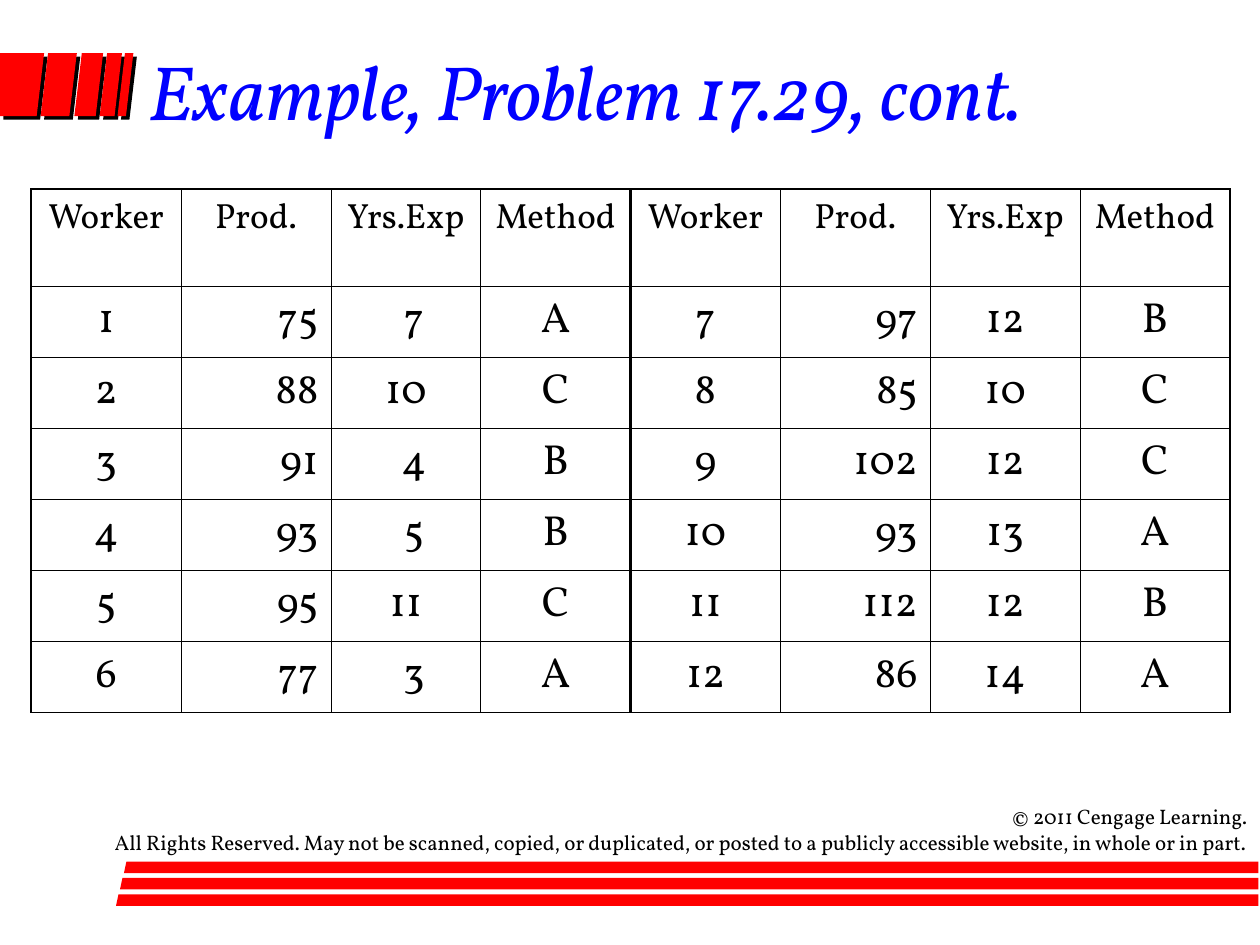
import dataclasses
import pptx
import pptx.dml.color
import pptx.enum.text
import pptx.oxml
import pptx.oxml.ns
import pptx.util

Cm = pptx.util.Cm
Pt = pptx.util.Pt
ALIGN = pptx.enum.text.PP_ALIGN
NS = pptx.oxml.ns.nsdecls("a")


@dataclasses.dataclass(frozen=True)
class Theme:
    font: str = "Vollkorn"
    title: str = "0000FF"
    text: str = "000000"
    accent: str = "FF0000"
    title_size: float = 44
    header_size: float = 20
    cell_size: float = 24
    notice_size: float = 12
    thin: float = 0.45
    outer: float = 1.08
    divider: float = 1.47


class SlideBuilder:
    def __init__(self, prs, theme):
        self.theme = theme
        self.s = prs.slides.add_slide(prs.slide_layouts[5])

    def run(self, p, text, size, color, italic=False):
        r = p.add_run()
        r.text = text
        r.font.name = self.theme.font
        r.font.size = Pt(size)
        r.font.italic = italic
        r.font.color.rgb = pptx.dml.color.RGBColor.from_string(color)

    def polygon(self, points, shadow=False):
        pts = [(Cm(x), Cm(y)) for x, y in points]
        builder = self.s.shapes.build_freeform(*pts[0])
        builder.add_line_segments(pts[1:], close=True)
        sp = builder.convert_to_shape()
        sp.shadow.inherit = False
        sp.fill.solid()
        sp.fill.fore_color.rgb = pptx.dml.color.RGBColor.from_string(self.theme.accent)
        sp.line.fill.background()
        if shadow:
            effects = sp._element.spPr.find(pptx.oxml.ns.qn("a:effectLst"))
            effects.append(pptx.oxml.parse_xml(
                f'<a:outerShdw {NS} blurRad="0" dist="{Pt(2.8)}" dir="2700000" '
                f'algn="ctr" rotWithShape="0"><a:srgbClr val="{self.theme.text}"/>'
                "</a:outerShdw>"))

    def title(self, text, left, top, width, height):
        sp = self.s.shapes.title
        sp.left, sp.top, sp.width, sp.height = map(Cm, (left, top, width, height))
        tf = sp.text_frame
        tf.auto_size = pptx.enum.text.MSO_AUTO_SIZE.NONE
        tf.vertical_anchor = pptx.enum.text.MSO_ANCHOR.TOP
        p = tf.paragraphs[0]
        p.alignment = ALIGN.LEFT
        self.run(p, text, self.theme.title_size, self.theme.title, italic=True)

    def borders(self, cell, widths):
        tc_pr = cell._tc.get_or_add_tcPr()
        for i, (side, width) in enumerate(zip("LRTB", widths)):
            tc_pr.insert(i, pptx.oxml.parse_xml(
                f'<a:ln{side} {NS} w="{Pt(width)}"><a:solidFill>'
                f'<a:srgbClr val="{self.theme.text}"/></a:solidFill></a:ln{side}>'))

    def table(self, rows, left, top, col_width, header_height, row_height):
        t = self.theme
        n_rows, n_cols = len(rows), len(rows[0])
        half = n_cols // 2
        table = self.s.shapes.add_table(
            n_rows, n_cols, Cm(left), Cm(top), Cm(col_width * n_cols),
            Cm(header_height + row_height * (n_rows - 1))).table
        table.first_row = table.horz_banding = False
        for col in table.columns:
            col.width = Cm(col_width)
        col_lines = [t.thin] * (n_cols + 1)
        col_lines[0] = col_lines[-1] = t.outer
        col_lines[half] = t.divider
        row_lines = [t.outer] + [t.thin] * (n_rows - 1) + [t.outer]
        for i, values in enumerate(rows):
            table.rows[i].height = Cm(row_height if i else header_height)
            for j, value in enumerate(values):
                cell = table.cell(i, j)
                cell.fill.background()
                self.borders(cell, (*col_lines[j:j + 2], *row_lines[i:i + 2]))
                p = cell.text_frame.paragraphs[0]
                p.alignment = ALIGN.RIGHT if i and j % half == 1 else ALIGN.CENTER
                if i and j % half == 2 and len(value) == 1:
                    cell.margin_left = Cm(0.58)
                self.run(p, value, t.cell_size if i else t.header_size, t.text)

    def notice(self, lines, left, top, width, height):
        tf = self.s.shapes.add_textbox(*map(Cm, (left, top, width, height))).text_frame
        tf.word_wrap = True
        for i, line in enumerate(lines):
            p = tf.add_paragraph() if i else tf.paragraphs[0]
            p.alignment = ALIGN.RIGHT
            self.run(p, line, self.theme.notice_size, self.theme.text)


HEADER = ["Worker", "Prod.", "Yrs.Exp", "Method"]
WORKERS = [
    ("1", "75", "7", "A"), ("2", "88", "10", "C"), ("3", "91", "4", "B"),
    ("4", "93", "5", "B"), ("5", "95", "11", "C"), ("6", "77", "3", "A"),
    ("7", "97", "12", "B"), ("8", "85", "10", "C"), ("9", "102", "12", "C"),
    ("10", "93", "13", "A"), ("11", "112", "12", "B"), ("12", "86", "14", "A"),
]


def main():
    prs = pptx.Presentation()
    prs.slide_width, prs.slide_height = Cm(25.4), Cm(19.05)
    slide = SlideBuilder(prs, Theme())

    top, bottom, slant = 1.07, 2.34, 0.15
    slide.polygon([(0, top), (0.89, top), (0.89 - slant, bottom), (0, bottom)], shadow=True)
    for x, w in [(0.97, 0.58), (1.65, 0.43), (2.16, 0.3), (2.52, 0.17)]:
        slide.polygon([(x, top), (x - slant, bottom), (x + w - slant, bottom),
                       (x + w, top)], shadow=True)

    right, bar = 25.37, 0.23
    for i in range(3):
        x, y = 2.34 + 0.08 * i, 18.03 - 0.33 * i
        slide.polygon([(x, y + bar), (right, y + bar), (right, y), (x + 0.05, y)])

    slide.title("Example, Problem 17.29, cont.", 2.74, 0.76, 21.59, 3.91)
    half = len(WORKERS) // 2
    rows = [HEADER * 2] + [a + b for a, b in zip(WORKERS[:half], WORKERS[half:])]
    slide.table(rows, 0.63, 3.81, 3.02, 1.96, 1.43)
    slide.notice(
        ["© 2011 Cengage Learning.",
         "All Rights Reserved. May not be scanned, copied, or duplicated, or posted "
         "to a publicly accessible website, in whole or in part."],
        0, 16.08, 25.4, 1.78)
    prs.save("out.pptx")


if __name__ == "__main__":
    main()
